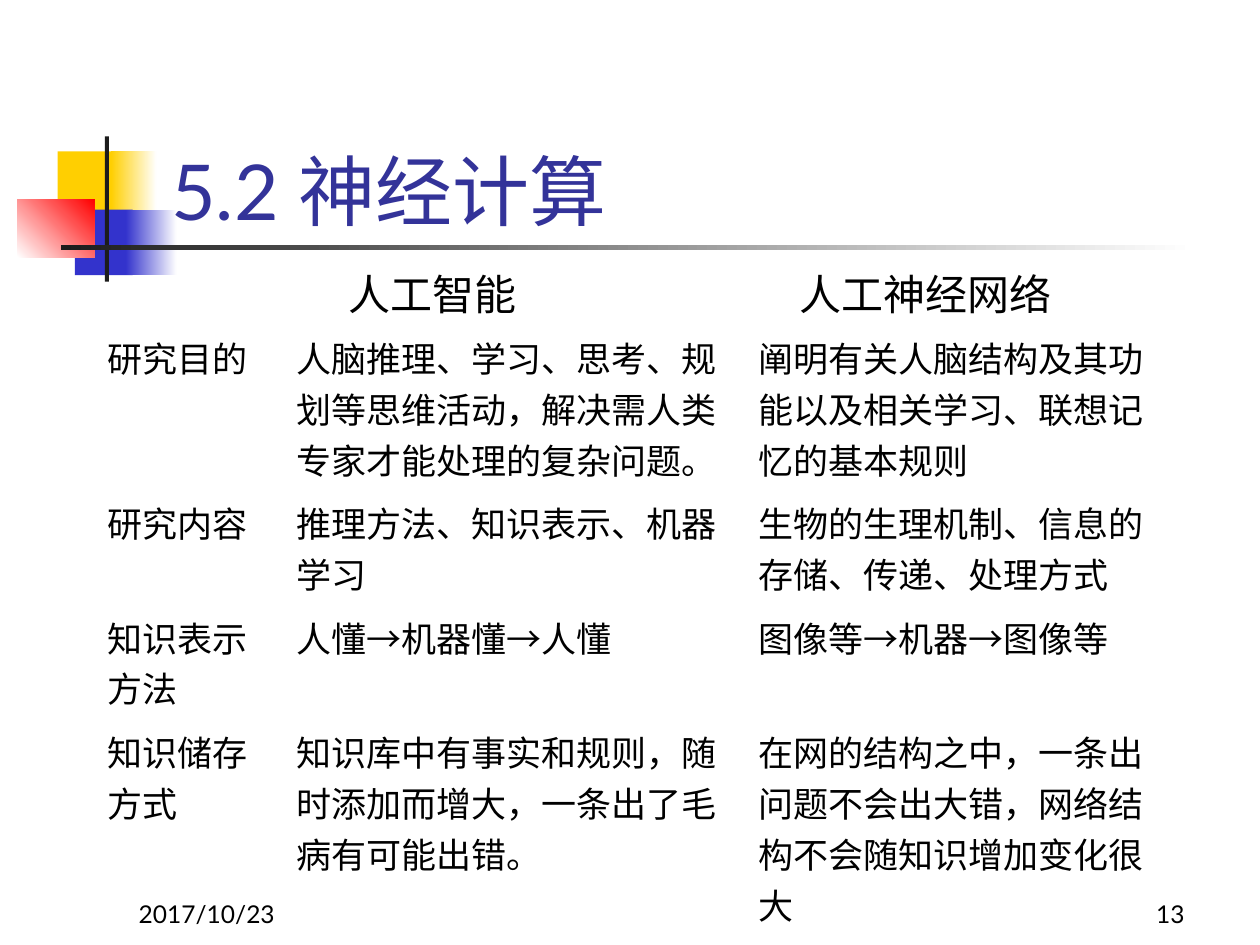
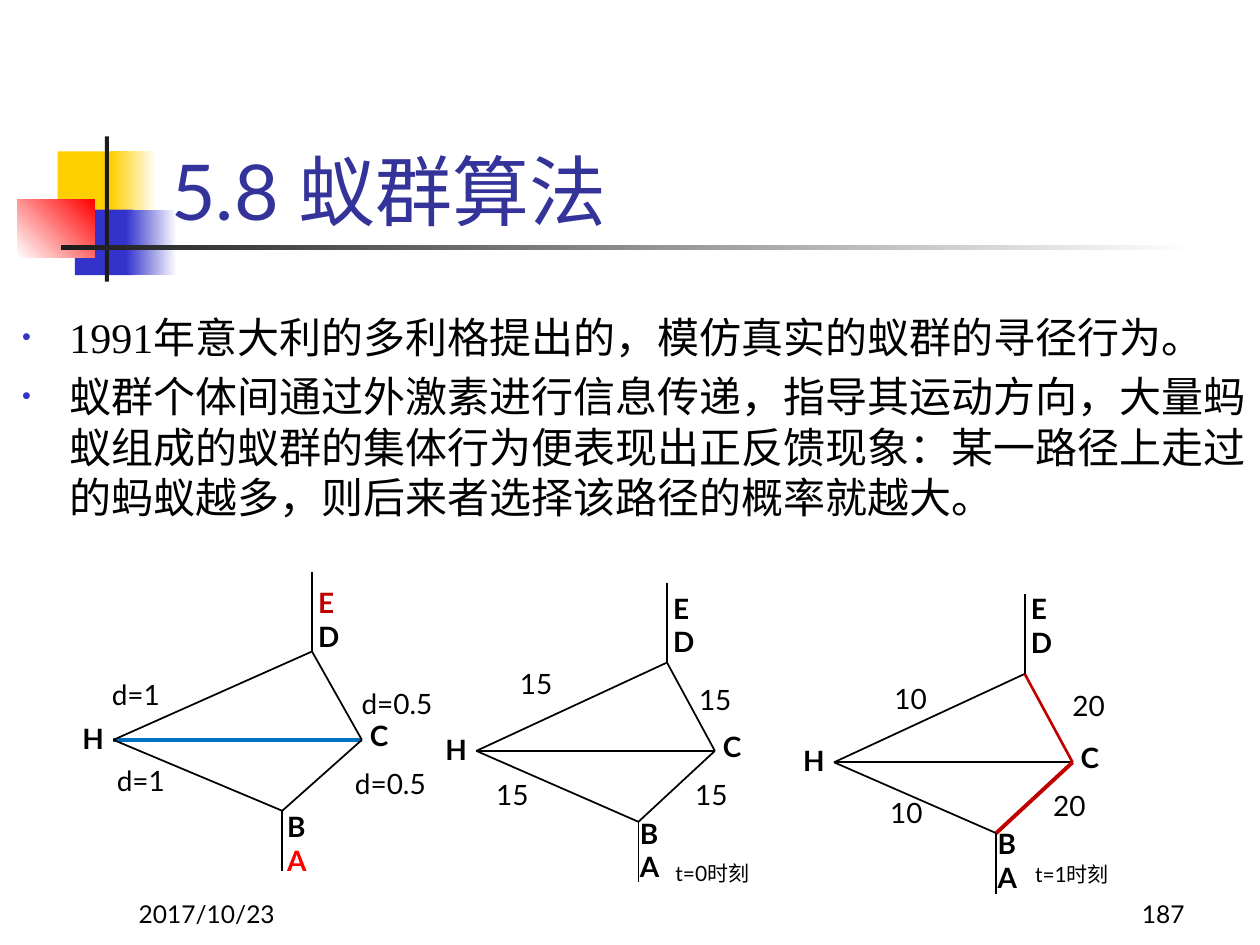
from dataclasses import dataclass, field
from lxml.etree import SubElement
from pptx import Presentation
from pptx.dml.color import RGBColor as Rgb
from pptx.enum.shapes import MSO_CONNECTOR as Connector, MSO_SHAPE as Preset
from pptx.enum.text import MSO_ANCHOR as Anchor, MSO_AUTO_SIZE as AutoSize, PP_ALIGN as Align
from pptx.oxml.ns import qn
from pptx.util import Pt


@dataclass(frozen=True)
class Theme:
    title: str = "333399"
    text: str = "000000"
    paper: str = "FFFFFF"
    yellow: str = "FFCF01"
    blue: str = "3333CC"
    red: str = "FF0000"
    dark_red: str = "C00000"
    route_blue: str = "0070C0"
    ink: str = "1C1C1C"
    sans: str = "Lato"
    serif: str = "Times New Roman"
    title_size: float = 44
    body_size: float = 24
    table_size: float = 20
    label_size: float = 16
    footer_size: float = 14
    caption_size: float = 12


THEME = Theme()


@dataclass(frozen=True)
class Band:
    left: float
    top: float
    width: float
    height: float
    start: str
    end: str | None = None
    angle: float = 0


@dataclass(frozen=True)
class Stroke:
    colour: str = THEME.text
    width: float = 1


@dataclass(frozen=True)
class Label:
    text: str
    left: float
    top: float
    width: float = 50


@dataclass(frozen=True)
class Graph:
    """Ant routes between nodes; left and middle locate node H."""
    left: float
    middle: float
    stretch: float
    line_height: float
    pair_height: float
    top_pair: float
    bottom_pair: float
    bottom_shift: float
    weights: list[Label]
    strokes: dict[str, Stroke] = field(default_factory=dict)
    name_colours: dict[str, str] = field(default_factory=dict)


BANDS = [
    Band(33, 86.5, 34.5, 37.5, THEME.yellow),
    Band(63.5, 86.5, 26, 37.5, THEME.yellow, THEME.paper),
    Band(42.8, 119.8, 33, 37.5, THEME.blue),
    Band(72, 119.8, 29, 37.5, THEME.blue, THEME.paper),
    Band(10, 113.8, 44, 33.2, THEME.paper, THEME.red, 45),
    Band(60, 78, 2.2, 83, THEME.ink),
    Band(34.8, 140.2, 648, 2.4, THEME.ink, THEME.paper),
]

COMPARISON = [
    ("研究目的", "人脑推理、学习、思考、规划等思维活动，解决需人类专家才能处理的复杂问题。",
     "阐明有关人脑结构及其功能以及相关学习、联想记忆的基本规则"),
    ("研究内容", "推理方法、知识表示、机器学习", "生物的生理机制、信息的存储、传递、处理方式"),
    ("知识表示方法", "人懂→机器懂→人懂", "图像等→机器→图像等"),
    ("知识储存方式", "知识库中有事实和规则，随时添加而增大，一条出了毛病有可能出错。",
     "在网的结构之中，一条出问题不会出大错，网络结构不会随知识增加变化很大"),
]
COLUMN_WIDTHS = (108, 264, 251.5)
ROW_HEIGHTS = (94.4, 65.4, 65.4, 123.2)

ANT_POINTS = [
    "1991年意大利的多利格提出的，模仿真实的蚁群的寻径行为。",
    "蚁群个体间通过外激素进行信息传递，指导其运动方向，大量蚂蚁组成的蚁群的集体行为"
    "便表现出正反馈现象：某一路径上走过的蚂蚁越多，则后来者选择该路径的概率就越大。",
]

# Node offsets from H, and the routes between nodes
NODES = {"H": (0, 0), "C": (142, 0), "D": (113.5, -50.5), "B": (96.5, 40.5),
         "E": (113.5, -96.2), "A": (96.5, 75)}
ROUTES = ("HC", "HD", "DC", "HB", "BC", "ED", "BA")

GRAPHS = [
    Graph(64.8, 422.8, 1, 26.6, 46, -91.8, 36.3, -4.3,
          [Label("d=1", 56.8, 383.8), Label("d=1", 59.7, 432.7),
           Label("d=0.5", 199.6, 388.8, 67), Label("d=0.5", 195.8, 434.4, 67)],
          {"HC": Stroke(THEME.route_blue, 2.25)},
          {"E": THEME.dark_red, "A": THEME.red}),
    Graph(272.2, 429.1, 0.96, 38, 70, -94.8, 33.8, -6.2,
          [Label("15", 290, 377.1), Label("15", 276.5, 440.6),
           Label("15", 392.4, 386.6), Label("15", 390.2, 440.6)]),
    Graph(476.6, 435.6, 0.96, 38, 70, -101, 33.1, -6.2,
          [Label("10", 504, 385.9), Label("10", 501.6, 450.9),
           Label("20", 605.7, 389.7), Label("20", 594.7, 447.1)],
          {"DC": Stroke(THEME.dark_red, 1.5), "BC": Stroke(THEME.dark_red, 2.25)}),
]
CAPTIONS = [Label("t=0时刻", 378.9, 488.2, 64), Label("t=1时刻", 584.4, 488.9, 64)]


def style_para(para, size: float, colour: str = THEME.text, name: str = THEME.sans,
               bold: bool = False) -> None:
    para.font.size = Pt(size)
    para.font.name = name
    para.font.bold = bold
    para.font.color.rgb = Rgb.from_string(colour)


def place(shape, left: float, top: float, width: float, height: float) -> None:
    shape.left, shape.top, shape.width, shape.height = map(Pt, (left, top, width, height))


def add_text(page, label: Label, height: float, size: float, bold: bool = False,
             colours: dict[str, str] | None = None, align: Align = Align.LEFT,
             anchor: Anchor = Anchor.TOP) -> None:
    box = page.shapes.add_textbox(*map(Pt, (label.left, label.top, label.width, height)))
    frame = box.text_frame
    frame.word_wrap = True
    frame.vertical_anchor = anchor
    frame.text = label.text
    for para in frame.paragraphs:
        para.alignment = align
        style_para(para, size, (colours or {}).get(para.text, THEME.text), bold=bold)


def add_band(page, band: Band) -> None:
    shape = page.shapes.add_shape(
        Preset.RECTANGLE, *map(Pt, (band.left, band.top, band.width, band.height)))
    shape.shadow.inherit = False
    shape.line.fill.background()
    if band.end is None:
        shape.fill.solid()
        shape.fill.fore_color.rgb = Rgb.from_string(band.start)
        return
    shape.fill.gradient()
    shape.fill.gradient_angle = band.angle
    for stop, colour in zip(shape.fill.gradient_stops, (band.start, band.end)):
        stop.color.rgb = Rgb.from_string(colour)


def add_line(page, start: tuple[float, float], end: tuple[float, float], stroke: Stroke) -> None:
    line = page.shapes.add_connector(Connector.STRAIGHT, *map(Pt, (*start, *end)))
    line.line.color.rgb = Rgb.from_string(stroke.colour)
    line.line.width = Pt(stroke.width)
    SubElement(line._element.spPr, qn("a:effectLst"))


def add_page(deck, layout: int, heading: str, page_number: str):
    """Slide with the shared bands, title and footer."""
    page = deck.slides.add_slide(deck.slide_layouts[layout])
    for band in BANDS:
        add_band(page, band)

    # Title, in front of the bands
    title = page.shapes.title
    page.shapes._spTree.append(title._element)
    place(title, 90.7, 48.7, 613.5, 90)
    frame = title.text_frame
    frame.text = heading
    frame.vertical_anchor = Anchor.BOTTOM
    frame.auto_size = AutoSize.NONE
    para = frame.paragraphs[0]
    para.alignment = Align.LEFT
    style_para(para, THEME.title_size, THEME.title)

    # Footer
    for label, align in ((Label("2017/10/23", 72.2, 498, 150), Align.LEFT),
                         (Label(page_number, 534, 498, 150), Align.RIGHT)):
        add_text(page, label, 36, THEME.footer_size, align=align, anchor=Anchor.BOTTOM)
    return page


def add_comparison(page) -> None:
    table = page.shapes.add_table(
        len(COMPARISON), len(COLUMN_WIDTHS), Pt(54), Pt(186),
        Pt(sum(COLUMN_WIDTHS)), Pt(sum(ROW_HEIGHTS))).table
    table.first_row = table.horz_banding = False
    for column, width in zip(table.columns, COLUMN_WIDTHS):
        column.width = Pt(width)
    for row, height, texts in zip(table.rows, ROW_HEIGHTS, COMPARISON):
        row.height = Pt(height)
        for cell, text in zip(row.cells, texts):
            cell.fill.background()
            cell.text = text
            style_para(cell.text_frame.paragraphs[0], THEME.table_size, name=THEME.serif)


def add_bullet(para) -> None:
    properties = para._p.get_or_add_pPr()
    properties.set("marL", str(Pt(27)))
    properties.set("indent", str(Pt(-27)))
    colour = SubElement(properties, qn("a:buClr"))
    SubElement(colour, qn("a:srgbClr"), val=THEME.blue)
    SubElement(properties, qn("a:buSzPct"), val="60000")
    SubElement(properties, qn("a:buChar"), char="•")


def fill_body(body, texts: list[str]) -> None:
    place(body, 5.4, 174.6, 719.3, 128)
    frame = body.text_frame
    frame.auto_size = AutoSize.NONE
    frame.text = "\n".join(texts)
    for para in frame.paragraphs:
        add_bullet(para)
        para.space_before = Pt(4.8)
        style_para(para, THEME.body_size, name=THEME.serif)


def add_graph(page, graph: Graph) -> None:
    points = {name: (graph.left + x * graph.stretch, graph.middle + y)
              for name, (x, y) in NODES.items()}
    for route in ROUTES:
        add_line(page, points[route[0]], points[route[1]], graph.strokes.get(route, Stroke()))

    # Node names
    for text, node, shift, top, height in (
            ("B\nA", "B", graph.bottom_shift, graph.bottom_pair, graph.pair_height),
            ("E\nD", "D", -3.6, graph.top_pair, graph.pair_height),
            ("H", "H", -24.8, -14.2, graph.line_height),
            ("C", "C", -2.5, -15.9, graph.line_height)):
        label = Label(text, points[node][0] + shift, graph.middle + top, 33)
        add_text(page, label, height, THEME.label_size, True, graph.name_colours)

    for weight in graph.weights:
        add_text(page, weight, graph.line_height, THEME.label_size)


def main() -> None:
    deck = Presentation()
    deck.slide_width, deck.slide_height = Pt(720), Pt(540)

    # Comparison of the two fields
    page = add_page(deck, 5, "5.2 神经计算", "13")
    add_comparison(page)
    for heading in (Label("人工智能", 192, 150, 186), Label("人工神经网络", 450, 150, 210)):
        add_text(page, heading, 36, THEME.body_size)

    # Ant colony routes
    page = add_page(deck, 1, "5.8 蚁群算法", "187")
    fill_body(page.placeholders[1], ANT_POINTS)
    for graph in GRAPHS:
        add_graph(page, graph)
    for caption in CAPTIONS:
        add_text(page, caption, 23, THEME.caption_size)

    deck.save("out.pptx")


if __name__ == "__main__":
    main()
